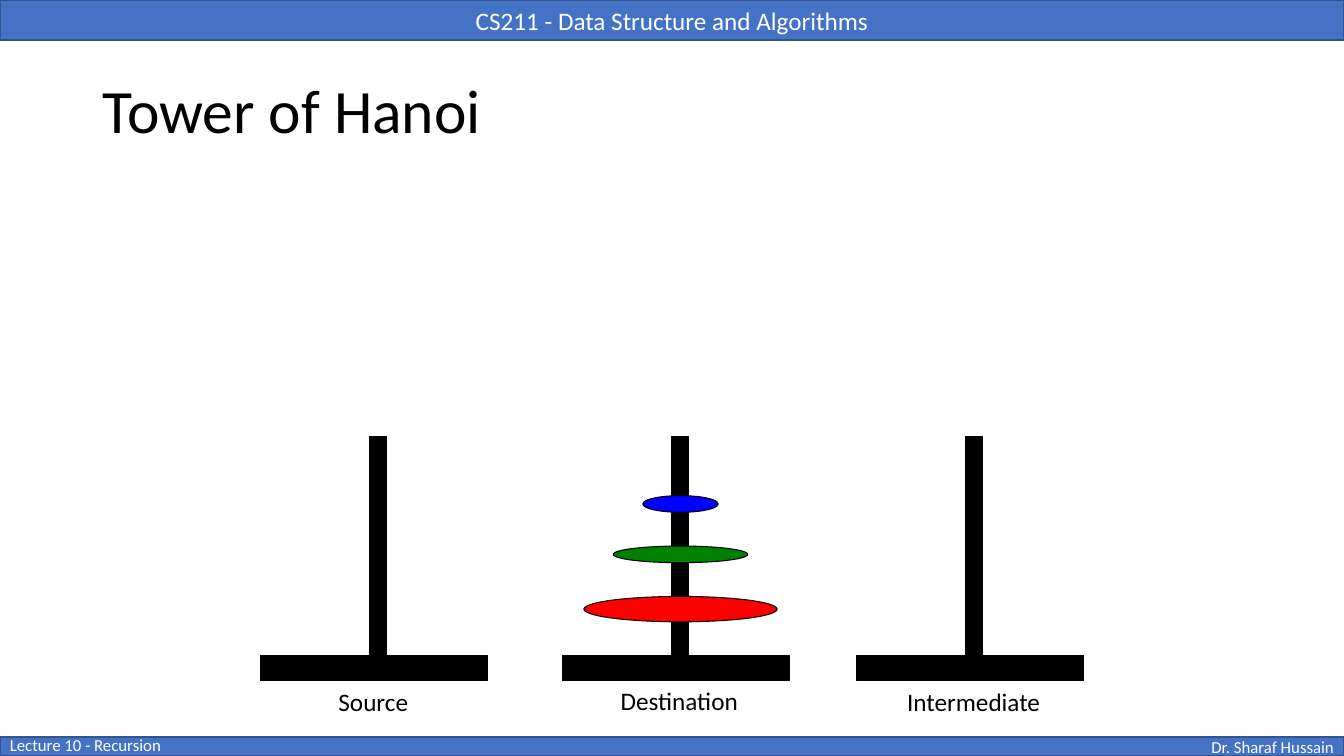
from dataclasses import dataclass

import pptx
import pptx.dml.color
import pptx.enum.shapes
import pptx.enum.text
import pptx.util

Cm = pptx.util.Cm
Pt = pptx.util.Pt
Align = pptx.enum.text.PP_ALIGN
Anchor = pptx.enum.text.MSO_ANCHOR
AutoSize = pptx.enum.text.MSO_AUTO_SIZE
Preset = pptx.enum.shapes.MSO_SHAPE

COLOURS = {
    "bar": "4472C4",
    "bar_line": "325491",
    "white": "FFFFFF",
    "black": "000000",
    "red": "FF0000",
    "green": "008000",
    "blue": "0000FF",
}
PAGE_WIDTH, PAGE_HEIGHT = 33.87, 19.05
FOOTER_TOP, FOOTER_HEIGHT = 18.57, 0.48
BASE_TOP, BASE_WIDTH, BASE_HEIGHT = 16.51, 5.72, 0.64
POLE_OFFSET, POLE_WIDTH, POLE_HEIGHT = 2.75, 0.42, 5.51
DISK_CENTRE = 17.15
LABEL_FORMAT = {"word_wrap": False, "auto_size": AutoSize.SHAPE_TO_FIT_TEXT}
FOOTER_LABEL_FORMAT = {
    "word_wrap": False,
    "auto_size": AutoSize.NONE,
    "vertical_anchor": Anchor.MIDDLE,
    "margin_top": Cm(0),
    "margin_bottom": Cm(0.07),
}


@dataclass(frozen=True)
class Area:
    left: float
    top: float
    width: float
    height: float

    def lengths(self) -> list[pptx.util.Length]:
        return [Cm(value) for value in (self.left, self.top, self.width, self.height)]


@dataclass(frozen=True)
class Bar:
    text: str
    area: Area
    size: int
    align: Align


@dataclass(frozen=True)
class Tower:
    left: float
    label: str
    label_area: Area


@dataclass(frozen=True)
class Disk:
    colour: str
    top: float
    width: float
    height: float


BARS = [
    Bar("CS211 - Data Structure and Algorithms", Area(0, 0, PAGE_WIDTH, 1.01), 18, Align.CENTER),
    Bar("Dr. Sharaf Hussain", Area(0, FOOTER_TOP, PAGE_WIDTH, FOOTER_HEIGHT), 12, Align.RIGHT),
]
TOWERS = [
    Tower(6.56, "Source", Area(8.28, 17.17, 2.29, 1.02)),
    Tower(14.17, "Destination", Area(15.39, 17.15, 3.51, 1.02)),
    Tower(21.59, "Intermediate", Area(22.61, 17.17, 3.91, 1.02)),
]
DISKS = [
    Disk("red", 15.03, 4.87, 0.64),
    Disk("green", 13.76, 3.39, 0.42),
    Disk("blue", 12.49, 1.9, 0.42),
]


def apply_format(target, values: dict) -> None:
    for name, value in values.items():
        setattr(target, name, value)


def colour_of(name: str) -> pptx.dml.color.RGBColor:
    return pptx.dml.color.RGBColor.from_string(COLOURS[name])


def write_text(box, text: str, size: int, colour: str, align: Align,
               frame_format: dict, spacing: float = 1.0) -> None:
    apply_format(box.text_frame, frame_format)
    para = box.text_frame.paragraphs[0]
    apply_format(para, {"alignment": align, "line_spacing": spacing})
    span = para.add_run()
    span.text = text
    apply_format(span.font, {"name": "Calibri", "size": Pt(size)})
    span.font.color.rgb = colour_of(colour)


def draw_shape(shapes, preset: Preset, area: Area, fill: str, line: str, line_width: float):
    shape = shapes.add_shape(preset, *area.lengths())
    shape.shadow.inherit = False
    shape.fill.solid()
    shape.fill.fore_color.rgb = colour_of(fill)
    shape.line.color.rgb = colour_of(line)
    shape.line.width = Pt(line_width)
    return shape


def draw_bar(page, bar: Bar) -> None:
    shape = draw_shape(page.shapes, Preset.RECTANGLE, bar.area, "bar", "bar_line", 1)
    write_text(shape, bar.text, bar.size, "white", bar.align,
               {"vertical_anchor": Anchor.MIDDLE, "word_wrap": True})


def draw_label(page, text: str, area: Area, size: int, colour: str, frame_format: dict) -> None:
    box = page.shapes.add_textbox(*area.lengths())
    write_text(box, text, size, colour, Align.LEFT, frame_format)


def draw_tower(page, tower: Tower) -> None:
    group = page.shapes.add_group_shape()
    base = Area(tower.left, BASE_TOP, BASE_WIDTH, BASE_HEIGHT)
    pole = Area(tower.left + POLE_OFFSET, BASE_TOP - POLE_HEIGHT, POLE_WIDTH, POLE_HEIGHT)
    for area in (base, pole):
        draw_shape(group.shapes, Preset.RECTANGLE, area, "black", "black", 0.75)


def draw_disk(page, disk: Disk) -> None:
    area = Area(DISK_CENTRE - disk.width / 2, disk.top, disk.width, disk.height)
    draw_shape(page.shapes, Preset.OVAL, area, disk.colour, "black", 0.75)


def draw_title(page, text: str) -> None:
    title = page.shapes.title
    left, top, width, height = Area(2.33, 1.02, 29.21, 3.68).lengths()
    apply_format(title, {"left": left, "top": top, "width": width, "height": height})
    write_text(title, text, 44, "black", Align.LEFT,
               {"vertical_anchor": Anchor.MIDDLE, "word_wrap": True,
                "auto_size": AutoSize.NONE}, 0.9)


def main() -> None:
    deck = pptx.Presentation()
    apply_format(deck, {"slide_width": Cm(PAGE_WIDTH), "slide_height": Cm(PAGE_HEIGHT)})
    page = deck.slides.add_slide(deck.slide_layouts.get_by_name("Title Only"))
    for bar in BARS:
        draw_bar(page, bar)
    draw_label(page, "Lecture 10 - Recursion", Area(0, FOOTER_TOP, 4.47, FOOTER_HEIGHT),
               12, "white", FOOTER_LABEL_FORMAT)
    draw_title(page, "Tower of Hanoi")
    for tower in TOWERS:
        draw_tower(page, tower)
    for disk in DISKS:
        draw_disk(page, disk)
    for tower in TOWERS:
        draw_label(page, tower.label, tower.label_area, 18, "black", LABEL_FORMAT)
    deck.save("out.pptx")


if __name__ == "__main__":
    main()
